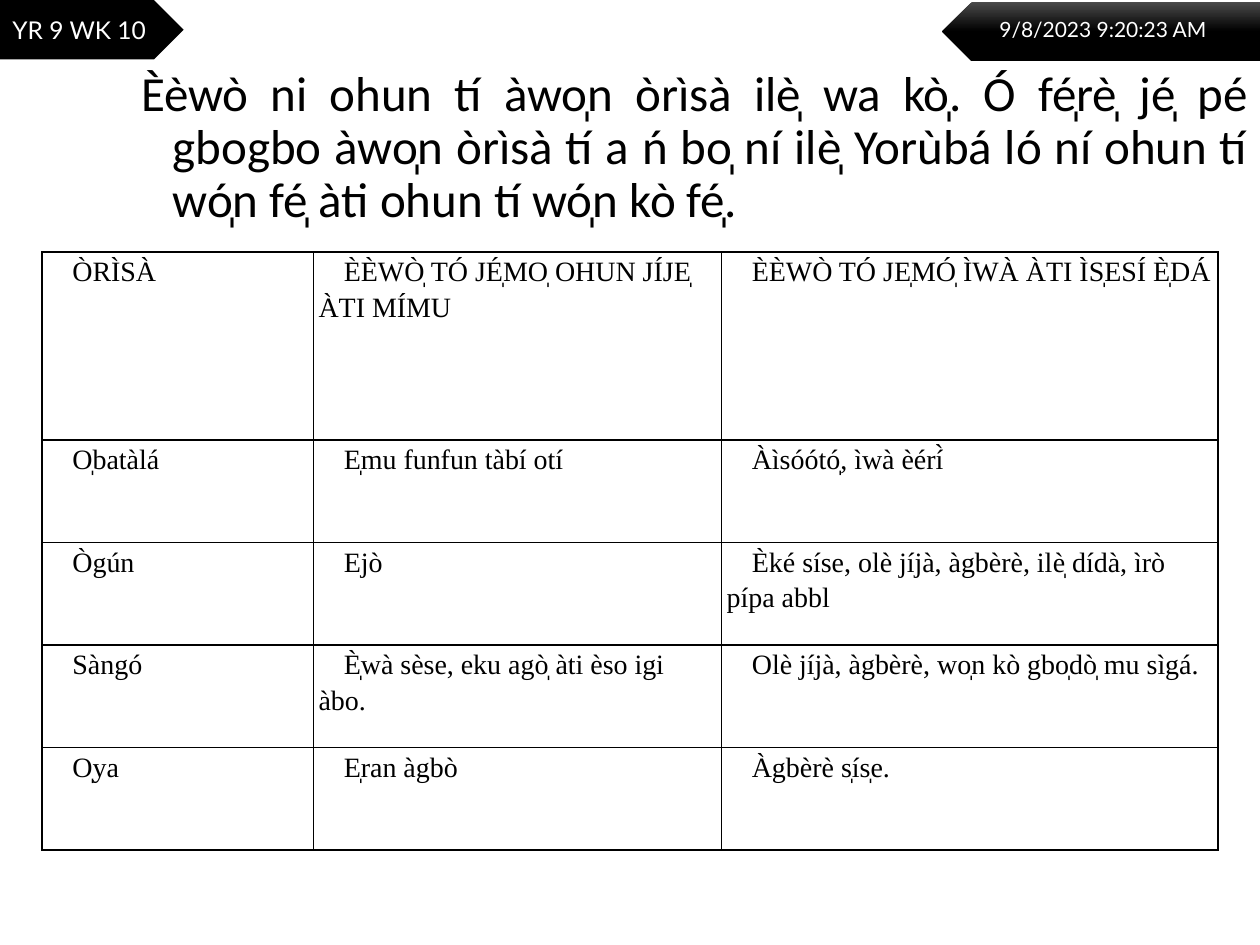
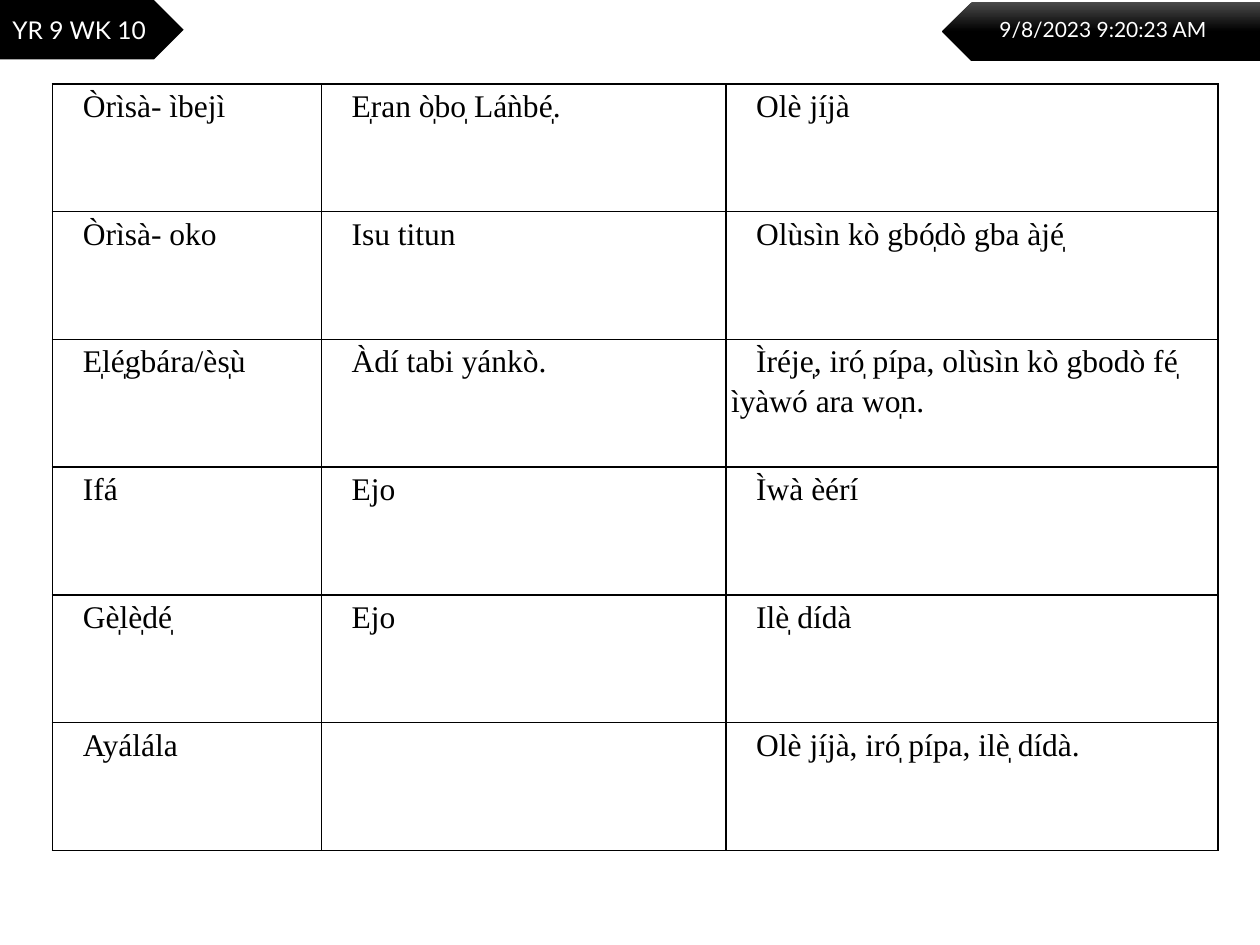
from dataclasses import dataclass

import pptx
import pptx.dml.color
import pptx.enum.shapes
import pptx.enum.text
import pptx.oxml
import pptx.oxml.ns
import pptx.util

Pt = pptx.util.Pt
HUES = {"ink": "000000", "paper": "FFFFFF", "sheen": "4B4B4B"}
TONES = (
    (chr(0x300), "À È Ì Ò Ù à è ì ò ù ǹ", "A E I O U a e i o u n"),
    (chr(0x301), "Á É Í Ó Ú á é í ó ú ń", "A E I O U a e i o u n"),
)


@dataclass(frozen=True)
class Box:
    left: float
    top: float
    width: float
    height: float

    def spots(self) -> list:
        return [Pt(n) for n in (self.left, self.top, self.width, self.height)]


@dataclass(frozen=True)
class Font:
    name: str
    size: float
    hue: str


@dataclass(frozen=True)
class Tag:
    plate: Box
    label: Box
    text: str
    size: float
    glossy: bool


@dataclass(frozen=True)
class Grid:
    left: float
    top: float
    cols: tuple
    rows: tuple
    size: float
    cells: tuple


TAGS = (
    Tag(Box(0, 0, 105, 34), Box(0, 5, 156, 24.3), "YR 9 WK 10", 14, False),
    Tag(Box(538.5, 1, 181.5, 34), Box(564, 6, 156, 21.6), "9/8/2023 9:20:23 AM", 12, True),
)
INTRO = Box(73.5, 36, 646.5, 444)
INTRO_TEXT = (
    "Èèwò ni ohun tí àwo̩n òrìsà ilè̩ wa kò̩. Ó fé̩rè̩ jé̩ pé gbogbo àwo̩n òrìsà "
    "tí a ń bo̩ ní ilè̩ Yorùbá ló ní ohun tí wó̩n fé̩ àti ohun tí wó̩n kò fé̩."
)
TABOOS = Grid(24, 144, (155.1, 233.2, 283.8), (107.4,) + (58.6,) * 4, 16, (
    ("ÒRÌSÀ", "ÈÈWÒ̩ TÓ JÉ̩MO̩ OHUN JÍJE̩ ÀTI MÍMU", "ÈÈWÒ TÓ JE̩MÓ̩ ÌWÀ ÀTI ÌS̩ESÍ È̩DÁ"),
    ("O̩batàlá", "E̩mu funfun tàbí otí", "Àìsóótó̩, ìwà èérí̀"),
    ("Ògún", "Ejò", "Èké síse, olè jíjà, àgbèrè, ilè̩ dídà, ìrò pípa abbl"),
    ("Sàngó", "È̩wà sèse, eku agò̩ àti èso igi àbo.", "Olè jíjà, àgbèrè, wo̩n kò gbo̩dò̩ mu sìgá."),
    ("O̩ya", "E̩ran àgbò", "Àgbèrè s̩ís̩e."),
))
MORE = Grid(30, 48, (153.6, 231.2, 281.2), (73,) * 6, 18, (
    ("Òrìsà- ìbejì", "E̩ran ò̩bo̩ Láǹbé̩.", "Olè jíjà"),
    ("Òrìsà- oko", "Isu titun", "Olùsìn kò gbó̩dò gba àjé̩"),
    ("E̩lé̩gbára/ès̩ù", "Àdí tabi yánkò.", "Ìréje̩, iró̩ pípa, olùsìn kò gbodò fé̩ ìyàwó ara wo̩n."),
    ("Ifá", "Ejo", "Ìwà èérí"),
    ("Gè̩lè̩dé̩", "Ejo", "Ilè̩ dídà"),
    ("Ayálála", "", "Olè jíjà, iró̩ pípa, ilè̩ dídà."),
))


def tint(name: str) -> pptx.dml.color.RGBColor:
    return pptx.dml.color.RGBColor.from_string(HUES[name])


def split_tones(text: str) -> str:
    for mark, toned, plain in TONES:
        for full, base in zip(toned.split(), plain.split()):
            text = text.replace(full, base + mark)
    return text


def add_run(para, text: str, font: Font) -> None:
    run = para.add_run()
    run.text = split_tones(text)
    run.font.name = font.name
    run.font.size = Pt(font.size)
    run.font.color.rgb = tint(font.hue)


def indent(para, margin: float, first: float) -> None:
    props = para._p.get_or_add_pPr()
    props.set("marL", str(Pt(margin)))
    props.set("indent", str(Pt(first)))


def add_frame(slide, box: Box):
    frame = slide.shapes.add_textbox(*box.spots()).text_frame
    frame.word_wrap = True
    return frame


def add_plate(slide, tag: Tag) -> None:
    kind = pptx.enum.shapes.MSO_SHAPE.PENTAGON
    plate = slide.shapes.add_shape(kind, *tag.plate.spots())
    plate.shadow.inherit = False
    plate.line.fill.background()
    if tag.glossy:
        plate.element.spPr.xfrm.set("flipH", "1")
        plate.fill.gradient()
        plate.fill.gradient_angle = 270
        for stop, place, hue in zip(plate.fill.gradient_stops, (0, 0.5), ("sheen", "ink")):
            stop.position = place
            stop.color.rgb = tint(hue)
    else:
        plate.fill.solid()
        plate.fill.fore_color.rgb = tint("ink")


def add_tag(slide, tag: Tag) -> None:
    add_plate(slide, tag)
    frame = add_frame(slide, tag.label)
    frame.auto_size = pptx.enum.text.MSO_AUTO_SIZE.SHAPE_TO_FIT_TEXT
    add_run(frame.paragraphs[0], tag.text, Font("Lato", tag.size, "paper"))


def add_intro(slide) -> None:
    para = add_frame(slide, INTRO).paragraphs[0]
    para.alignment = pptx.enum.text.PP_ALIGN.JUSTIFY
    para.line_spacing = 0.9
    para.space_before = Pt(10)
    indent(para, 18, -18)
    add_run(para, INTRO_TEXT, Font("Calibri", 28, "ink"))


def rule_cell(cell) -> None:
    props = cell._tc.get_or_add_tcPr()
    for side in ("lnL", "lnR", "lnT", "lnB"):
        props.append(pptx.oxml.parse_xml(
            f'<a:{side} {pptx.oxml.ns.nsdecls("a")} w="{Pt(1)}"><a:solidFill>'
            f'<a:srgbClr val="{HUES["ink"]}"/></a:solidFill></a:{side}>'
        ))
    cell.fill.background()


def fill_cell(cell, text: str, font: Font) -> None:
    cell.margin_left = cell.margin_right = Pt(3)
    cell.margin_top = cell.margin_bottom = Pt(0)
    rule_cell(cell)
    para = cell.text_frame.paragraphs[0]
    para.line_spacing = 1.15
    para.space_after = Pt(10)
    indent(para, 0, 14.4)
    if text:
        add_run(para, text, font)


def add_grid(slide, grid: Grid) -> None:
    box = Box(grid.left, grid.top, sum(grid.cols), sum(grid.rows))
    table = slide.shapes.add_table(len(grid.rows), len(grid.cols), *box.spots()).table
    table.first_row = table.horz_banding = False
    for col, width in zip(table.columns, grid.cols):
        col.width = Pt(width)
    for row, height in zip(table.rows, grid.rows):
        row.height = Pt(height)
    font = Font("Times New Roman", grid.size, "ink")
    for row, texts in zip(table.rows, grid.cells):
        for cell, text in zip(row.cells, texts):
            fill_cell(cell, text, font)


def add_page(deck):
    slide = deck.slides.add_slide(deck.slide_layouts[6])
    slide.background.fill.solid()
    slide.background.fill.fore_color.rgb = tint("paper")
    for tag in TAGS:
        add_tag(slide, tag)
    return slide


def main() -> None:
    deck = pptx.Presentation()
    deck.slide_width, deck.slide_height = Pt(720), Pt(540)
    first = add_page(deck)
    add_intro(first)
    add_grid(first, TABOOS)
    add_grid(add_page(deck), MORE)
    deck.save("out.pptx")


if __name__ == "__main__":
    main()
